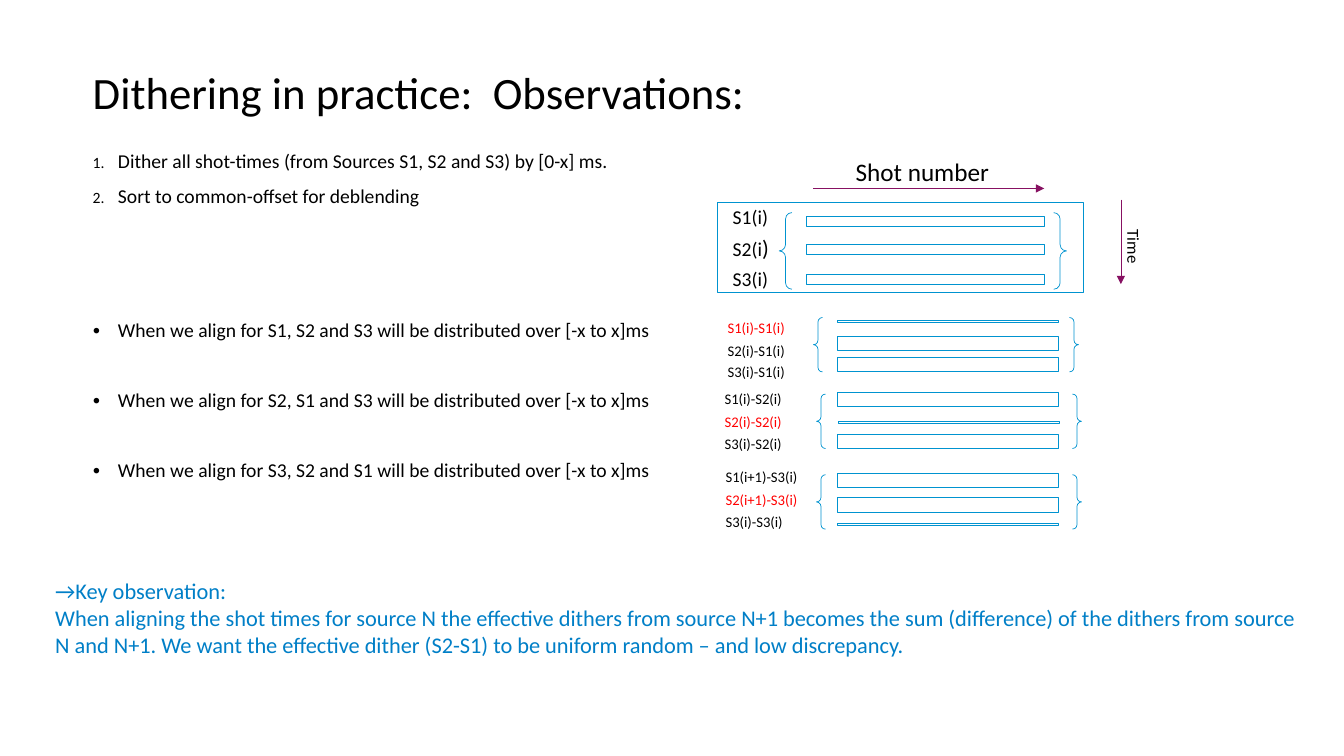
from dataclasses import dataclass
from typing import Any, NamedTuple

from lxml import etree
from pptx import Presentation
from pptx import util as u
from pptx.dml.color import RGBColor
from pptx.enum import shapes, text
from pptx.oxml import ns

CELL = u.Inches(0.1)  # side of one grid column and row
BLACK, RED, BLUE, CYAN, PURPLE = "000000", "FF0000", "007FC7", "0093D0", "871162"
BAR_X, THIN = 83.1, 0.2


class Box(NamedTuple):
    x: float
    y: float
    w: float
    h: float


class Run(NamedTuple):
    text: str
    size: float
    color: str = BLACK


class Bar(NamedTuple):
    y: float
    h: float = 1.4
    x: float = BAR_X


class Item(NamedTuple):
    text: str
    before: float
    bullet: str


@dataclass
class Panel:
    """Three labelled bars inside a brace pair."""
    labels: list[list[Run]]
    corner: tuple[float, float]
    steps: tuple[float, ...]
    label_h: float
    brace: Box
    bars: list[Bar]
    bar_w: float = 21.9


def small(*labels: str, red: int) -> list[list[Run]]:
    return [[Run(t, 10.5, RED if i == red else BLACK)] for i, t in enumerate(labels)]


SMALL_STEPS = (0, 2.3, 4.45)
PANELS = [
    Panel([[Run("S1(i)", 14)], [Run("S2(i", 14), Run(")", 16)], [Run("S3(i)", 14)]],
          (71.7, 19.8), (0, 2.9, 6.2), 3.6, Box(77.3, 21.1, 28.5, 7.6),
          [Bar(y, 1, 80) for y in (21.5, 24.3, 27.2)], 23.6),
    Panel(small("S1(i)-S1(i)", "S2(i)-S1(i)", "S3(i)-S1(i)", red=0),
          (71.2, 31.1), SMALL_STEPS, 3, Box(80.7, 31.5, 26.3, 5.4),
          [Bar(31.8, THIN), Bar(33.4), Bar(35.5)]),
    Panel(small("S1(i)-S2(i)", "S2(i)-S2(i)", "S3(i)-S2(i)", red=1),
          (70.9, 38.2), SMALL_STEPS, 3, Box(81, 39.1, 26.3, 5.4),
          [Bar(38.9), Bar(41.8, THIN, BAR_X + 0.1), Bar(43.1)]),
    Panel(small("S1(i+1)-S3(i)", "S2(i+1)-S3(i)", "S3(i)-S3(i)", red=1),
          (71, 45.9), SMALL_STEPS, 3, Box(81, 47.1, 26.3, 5.4),
          [Bar(47), Bar(49.4), Bar(51.9, THIN)]),
]
LABEL_WIDTHS = {4: 6.2, 5: 6.2, 11: 8.8, 13: 10.4}  # by number of characters

ITEMS = [
    Item("Dither all shot-times (from Sources S1, S2 and S3) by [0-x] ms.", 0, "1."),
    Item("Sort to common-offset for deblending", 10, "1."),
    Item("When we align for S1, S2 and S3 will be distributed over [-x to x]ms", 81, "•"),
    Item("When we align for S2, S1 and S3 will be distributed over [-x to x]ms", 34.6, "•"),
    Item("When we align for S3, S2 and S1 will be distributed over [-x to x]ms", 34.6, "•"),
]
KEY = [
    "→Key observation:",
    "When aligning the shot times for source N the effective dithers from source N+1 "
    "becomes the sum (difference) of the dithers from source N and N+1. We want the "
    "effective dither (S2-S1) to be uniform random – and low discrepancy.",
]
NO_MARGINS = {f"margin_{side}": 0 for side in ("left", "top", "right", "bottom")}


def rgb(value: str) -> RGBColor:
    return RGBColor.from_string(value)


def grid(*cells: float) -> list[int]:
    return [round(c * CELL) for c in cells]


def apply(obj: Any, values: dict[str, Any]) -> None:
    for name, value in values.items():
        setattr(obj, name, value)


def write(p: Any, runs: list[Run]) -> None:
    for run in runs:
        r = p.add_run()
        r.text = run.text
        apply(r.font, {"name": "Calibri", "size": u.Pt(run.size)})
        r.font.color.rgb = rgb(run.color)


def place(sp: Any, box: Box) -> None:
    apply(sp, dict(zip(("left", "top", "width", "height"), grid(*box))))


def add_text(parent: Any, box: Box, paragraphs: list[list[Run]], wrap: bool = False) -> Any:
    sp = parent.add_textbox(*grid(*box))
    tf = sp.text_frame
    auto = text.MSO_AUTO_SIZE
    apply(tf, {"word_wrap": wrap,
               "auto_size": auto.NONE if wrap else auto.SHAPE_TO_FIT_TEXT})
    for i, runs in enumerate(paragraphs):
        write(tf.add_paragraph() if i else tf.paragraphs[0], runs)
    return sp


def add_outline(parent: Any, kind: Any, box: Box, width: float = 0.75) -> None:
    sp = parent.add_shape(kind, *grid(*box))
    sp.shadow.inherit = False
    sp.fill.background()
    sp.line.color.rgb = rgb(CYAN)
    sp.line.width = u.Pt(width)


def add_arrow(parent: Any, x1: float, y1: float, x2: float, y2: float) -> None:
    line = parent.add_connector(shapes.MSO_CONNECTOR.STRAIGHT, *grid(x1, y1, x2, y2))
    line.line.color.rgb = rgb(PURPLE)
    line.line.width = u.Pt(0.5)
    etree.SubElement(line.line._get_or_add_ln(), ns.qn("a:tailEnd"), type="triangle")
    etree.SubElement(line._element.spPr, ns.qn("a:effectLst"))


def add_bullet(p: Any, bullet: str) -> None:
    pPr = p._p.get_or_add_pPr()
    for name, value in zip(("marL", "indent"), grid(2.5, -2.5)):
        pPr.set(name, str(value))
    etree.SubElement(pPr, ns.qn("a:buSzPct"), val="80000")
    etree.SubElement(pPr, ns.qn("a:buFont"), typeface="Calibri")
    if bullet == "1.":
        etree.SubElement(pPr, ns.qn("a:buAutoNum"), type="arabicPeriod")
    else:
        etree.SubElement(pPr, ns.qn("a:buChar"), char=bullet)


def fill_placeholder(sp: Any, box: Box, anchor: Any) -> Any:
    """Move a placeholder, clear its margins and return its text frame."""
    place(sp, box)
    tf = sp.text_frame
    apply(tf, NO_MARGINS | {"vertical_anchor": anchor, "word_wrap": True,
                            "auto_size": text.MSO_AUTO_SIZE.NONE})
    return tf


def add_panel(parent: Any, panel: Panel) -> None:
    x, y = panel.corner
    for runs, step in zip(panel.labels, panel.steps):
        width = LABEL_WIDTHS[sum(len(run.text) for run in runs)]
        add_text(parent, Box(x, y + step, width, panel.label_h), [runs])
    add_outline(parent, shapes.MSO_SHAPE.DOUBLE_BRACE, panel.brace, 0.5)
    for bar in panel.bars:
        add_outline(parent, shapes.MSO_SHAPE.RECTANGLE,
                    Box(bar.x, bar.y, panel.bar_w, bar.h))


def main() -> None:
    prs = Presentation()
    prs.slide_width, prs.slide_height = grid(133.33, 75)
    s = prs.slides.add_slide(prs.slide_layouts[1])
    title, body = s.placeholders

    tf = fill_placeholder(title, Box(9.2, 4, 115, 7.8), text.MSO_ANCHOR.BOTTOM)
    p = tf.paragraphs[0]
    apply(p, {"alignment": text.PP_ALIGN.LEFT, "line_spacing": 0.9})
    write(p, [Run("Dithering in practice:  Observations:", 32)])

    tf = fill_placeholder(body, Box(9.2, 15, 58.6, 45.3), text.MSO_ANCHOR.TOP)
    for i, item in enumerate(ITEMS):
        p = tf.add_paragraph() if i else tf.paragraphs[0]
        add_bullet(p, item.bullet)
        apply(p, {"line_spacing": 0.9, "space_before": u.Pt(item.before)})
        write(p, [Run(item.text, 14)])

    diagram = s.shapes.add_group_shape().shapes
    for panel in PANELS:
        add_panel(diagram, panel)
    add_outline(diagram, shapes.MSO_SHAPE.RECTANGLE, Box(71.2, 20.1, 36.3, 8.9))

    add_text(s.shapes, Box(4.5, 56.8, 126.4, 14.5), [[Run(t, 16, BLUE)] for t in KEY], True)
    add_arrow(s.shapes, 111.2, 19.8, 111.2, 28.2)
    add_text(s.shapes, Box(109.8, 23, 5.4, 3), [[Run("Time", 12)]]).rotation = 90
    add_arrow(s.shapes, 80.7, 18.7, 103.6, 18.7)
    add_text(s.shapes, Box(83.9, 15, 15.4, 4), [[Run("Shot number", 18)]])
    prs.save("out.pptx")


if __name__ == "__main__":
    main()
